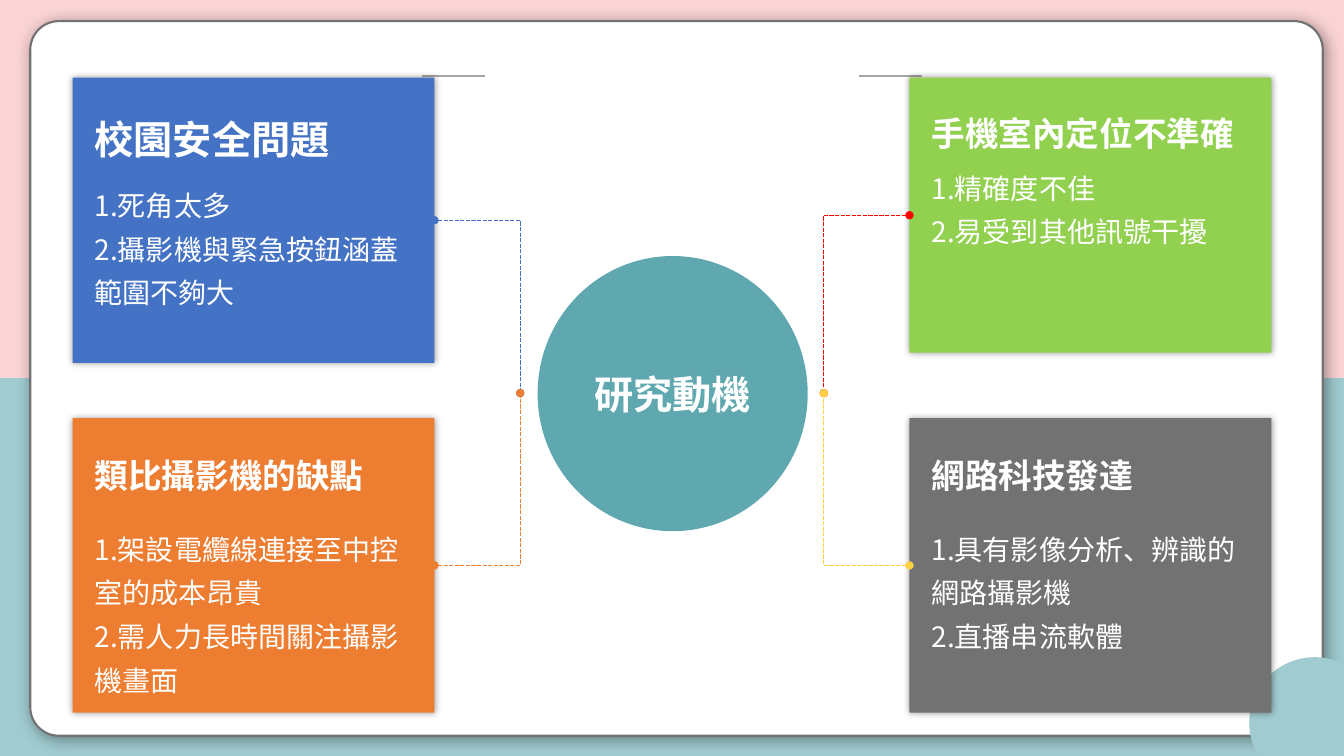
"""Build the research motive slide: four cards linked to a central circle."""
from lxml.etree import SubElement
from pptx import Presentation
from pptx.dml.color import RGBColor
from pptx.enum.dml import MSO_LINE
from pptx.enum.shapes import MSO_CONNECTOR, MSO_SHAPE
from pptx.enum.text import MSO_ANCHOR, PP_ALIGN
from pptx.oxml.ns import qn
from pptx.util import Inches, Pt

FONT = "Noto Sans CJK SC"
HUES = {
    "pink": "FAD3D4", "mist": "A0CBD0", "teal": "60A8AF", "white": "FFFFFF",
    "gray": "727272", "rule": "A6A6A6", "blue": "4472C4", "orange": "ED7D31",
    "green": "92D050", "red": "FF0000", "gold": "FFD040", "black": "000000",
}
RGB = {name: RGBColor.from_string(hue) for name, hue in HUES.items()}

deck = Presentation()
deck.slide_width, deck.slide_height = Inches(13.33), Inches(7.5)
COL, ROW = deck.slide_width / 100, deck.slide_height / 100
slide = deck.slides.add_slide(deck.slide_layouts[5])
shapes = slide.shapes


def draw(kind, left, top, width, height, hue, glow=None):
    """Add a filled shape on the grid; glow is blur, distance and angle."""
    box = shapes.add_shape(kind, int(left * COL), int(top * ROW),
                           int(width * COL), int(height * ROW))
    box.shadow.inherit = False
    box.fill.solid()
    box.fill.fore_color.rgb = RGB[hue]
    box.line.fill.background()
    if glow:
        blur, gap, turn = glow
        list_ = box._element.spPr.find(qn("a:effectLst"))
        shade = SubElement(list_, qn("a:outerShdw"), blurRad=str(Pt(blur)),
                           dist=str(Pt(gap)), dir=str(turn * 60000),
                           algn="ctr", rotWithShape="0")
        tint = SubElement(shade, qn("a:srgbClr"), val=HUES["black"])
        SubElement(tint, qn("a:alpha"), val="40000")
    return box


def write(frame, lines, size, bold=False, space=1.3):
    """Fill a text frame with white lines in the slide's font."""
    frame.word_wrap = True
    frame.text = "\n".join(lines)
    for para in frame.paragraphs:
        para.line_spacing = space
        font = para.font
        font.size, font.bold, font.name = Pt(size), bold, FONT
        font.color.rgb = RGB["white"]
        latin = font._element.find(qn("a:latin"))
        east = SubElement(font._element, qn("a:ea"), typeface=FONT)
        latin.addnext(east)


draw(MSO_SHAPE.RECTANGLE, 0, 50, 100, 50, "mist")
draw(MSO_SHAPE.RECTANGLE, 0, 0, 100, 50, "pink")
panel = draw(MSO_SHAPE.ROUNDED_RECTANGLE, 2.25, 2.8, 96.17, 94.53, "white", (11, 3, 45))
panel.adjustments[0] = 0.04
panel.line.color.rgb = RGB["gray"]
panel.line.width = Pt(1.5)
draw(MSO_SHAPE.OVAL, 92.95, 86.93, 9.75, 17.33, "mist")

for start in (63.9, 31.4):
    tick = shapes.add_connector(MSO_CONNECTOR.STRAIGHT, int(start * COL), int(10 * ROW),
                                int((start + 4.7) * COL), int(10 * ROW))
    tick.line.color.rgb = RGB["rule"]
    tick.line.width = Pt(1.5)
    SubElement(tick._element.spPr, qn("a:effectLst"))

EDGE, WIDE, BEND, HUB = 5.4, 26.93, 38.71, 52
UP, DOWN = 10.27, 55.33
CARDS = [
    (False, UP, 37.73, "blue", "blue", 28, 2.53, 12.66, "校園安全問題",
     ["1.死角太多", "2.攝影機與緊急按鈕涵蓋範圍不夠大"]),
    (False, DOWN, 38.93, "orange", "orange", 24, 2.53, 13.07, "類比攝影機的缺點",
     ["1.架設電纜線連接至中控室的成本昂貴", "2.需人力長時間關注攝影機畫面"]),
    (True, UP, 36.4, "green", "red", 24, 2.4, 10.4, "手機室內定位不準確",
     ["1.精確度不佳", "2.易受到其他訊號干擾"]),
    (True, DOWN, 38.93, "gray", "gold", 24, 2.53, 13.07, "網路科技發達",
     ["1.具有影像分析、辨識的網路攝影機", "2.直播串流軟體"]),
]
for right, top, tall, hue, wire, size, head, body, name, points in CARDS:
    left = 100 - EDGE - WIDE if right else EDGE
    draw(MSO_SHAPE.RECTANGLE, left, top, WIDE, tall, hue, (5, 0, 0))
    for drop, deep, lines, point, bold in ((head, 8, [name], size, True),
                                           (body, 24, points, 20, False)):
        box = shapes.add_textbox(int((left + 0.9) * COL), int((top + drop) * ROW),
                                 int((WIDE - 1.8) * COL), int(deep * ROW))
        write(box.text_frame, lines, point, bold)

    mid = top + tall / 2
    ends = (100 - BEND, HUB, left, mid) if right else (left + WIDE, mid, BEND, HUB)
    link = shapes.add_connector(MSO_CONNECTOR.ELBOW, *(
        int(place * unit) for place, unit in zip(ends, (COL, ROW, COL, ROW))))
    link.line.color.rgb = RGB[wire]
    link.line.width = Pt(1)
    link.line.dash_style = MSO_LINE.SQUARE_DOT
    props = link._element.spPr
    props.find(qn("a:prstGeom")).set("prst", "bentConnector2")
    if right:
        props.find(qn("a:xfrm")).set("rot", "10800000")
    for tip in ("a:headEnd", "a:tailEnd"):
        SubElement(props.find(qn("a:ln")), qn(tip), type="oval")
    SubElement(props, qn("a:effectLst"))

hub = draw(MSO_SHAPE.OVAL, 40, 33.87, 20.1, 36.4, "teal")
title = shapes.title
title.left, title.top, title.width, title.height = hub.left, hub.top, hub.width, hub.height
write(title.text_frame, ["研究動機"], 28, True, 1)
title.text_frame.vertical_anchor = MSO_ANCHOR.MIDDLE
title.text_frame.paragraphs[0].alignment = PP_ALIGN.CENTER
hub._element.addnext(title._element)

deck.save("out.pptx")
